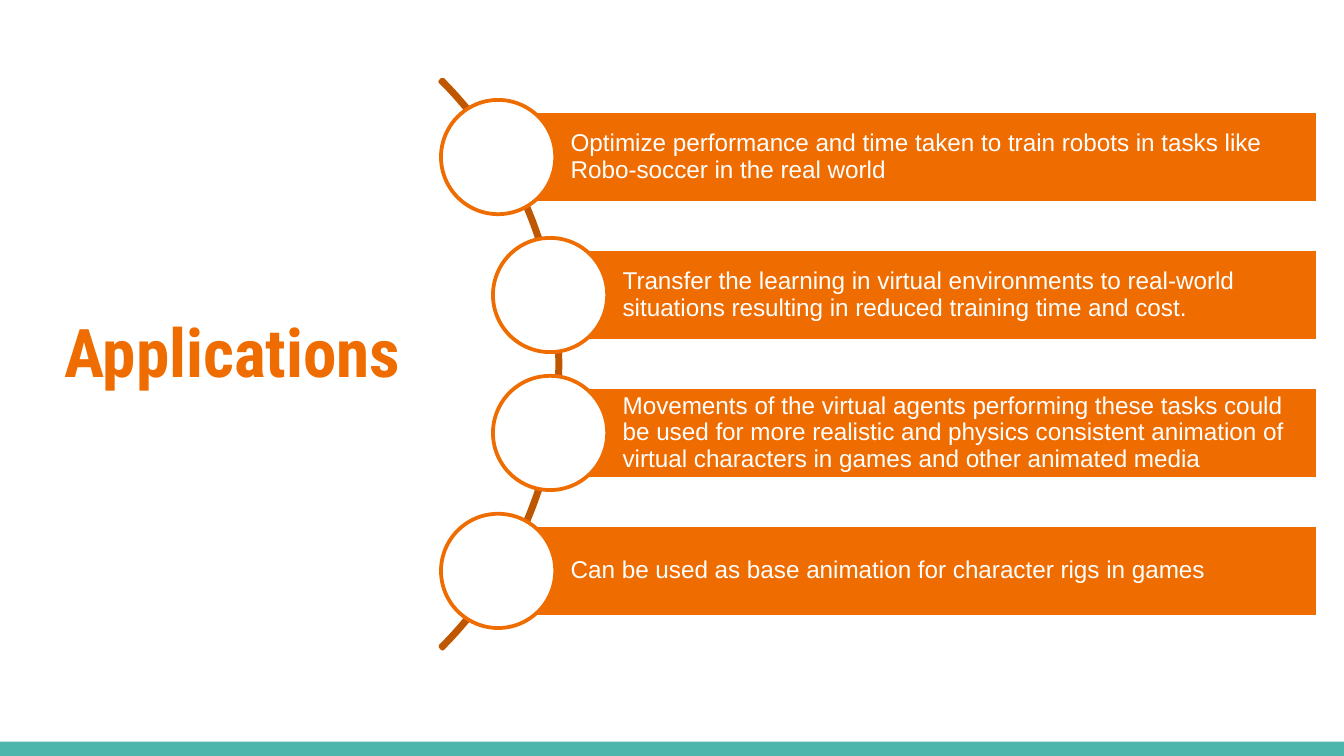
from math import sqrt

from pptx import Presentation
from pptx.dml.color import RGBColor
from pptx.enum.shapes import MSO_SHAPE
from pptx.enum.text import MSO_ANCHOR, PP_ALIGN
from pptx.util import Pt

RECT, OVAL, ARC = MSO_SHAPE.RECTANGLE, MSO_SHAPE.OVAL, MSO_SHAPE.BLOCK_ARC
TOP, MIDDLE, LEFT = MSO_ANCHOR.TOP, MSO_ANCHOR.MIDDLE, PP_ALIGN.LEFT
ORANGE, BROWN, TEAL, WHITE = "EF6C00", "BF5600", "4DB6AC", "FFFFFF"

ITEMS = [
    "Optimize performance and time taken to train robots in tasks like "
    "Robo-soccer in the real world",
    "Transfer the learning in virtual environments to real-world situations "
    "resulting in reduced training time and cost.",
    "Movements of the virtual agents performing these tasks could be used for "
    "more realistic and physics consistent animation of virtual characters in "
    "games and other animated media",
    "Can be used as base animation for character rigs in games",
]


def color(code):
    return RGBColor.from_string(code)


def add_shape(slide, kind, box, fill=None, line=None):
    shape = slide.shapes.add_shape(kind, *map(Pt, box))
    shape.shadow.inherit = False
    if fill:
        shape.fill.solid()
        shape.fill.fore_color.rgb = color(fill)
    else:
        shape.fill.background()
    if line:
        shape.line.color.rgb = color(line)
        shape.line.width = Pt(2)
    else:
        shape.line.fill.background()
    return shape


def set_text(shape, text, font, size, tint, insets, anchor, bold=False):
    frame = shape.text_frame
    frame.text = text
    frame.word_wrap = True
    frame.vertical_anchor = anchor
    (frame.margin_left, frame.margin_top,
     frame.margin_right, frame.margin_bottom) = map(Pt, insets)
    para = frame.paragraphs[0]
    para.alignment = LEFT
    style = para.runs[0].font
    style.name, style.size, style.bold = font, Pt(size), bold
    style.color.rgb = color(tint)
    return para


def add_title(slide, box):
    title = slide.shapes.add_textbox(*map(Pt, box))
    set_text(title, "Applications", "Roboto Condensed", 36, ORANGE,
             [7.2] * 4, TOP, bold=True)


def add_list(slide, box):
    """Bars whose discs sit on an arc bulging to the right."""
    left, top, width, height = box
    right, mid = left + width, top + height / 2
    bar, disc, pitch = 49, 61.2, 73.9
    size, track = 431.3, 213.3
    hub = 84.6  # x of the arc's centre

    # Arc from -45 to 45 degrees
    arc = add_shape(slide, ARC, (hub - size / 2, mid - size / 2, size, size),
                    line=BROWN)
    for i, value in enumerate((189, 27, 0.004)):
        arc.adjustments[i] = value

    # Bar and disc for each item
    for i, text in enumerate(ITEMS):
        rise = (i - (len(ITEMS) - 1) / 2) * pitch
        x, y = hub + sqrt(track ** 2 - rise ** 2), mid + rise
        strip = add_shape(slide, RECT, (x, y - bar / 2, right - x, bar),
                          ORANGE, WHITE)
        para = set_text(strip, text, "Arial", 13, WHITE,
                        (38.9, 2.6, 2.6, 2.6), MIDDLE)
        para.line_spacing = 0.9
        add_shape(slide, OVAL, (x - disc / 2, y - disc / 2, disc, disc),
                  WHITE, ORANGE)


def main():
    deck = Presentation()
    deck.slide_width, deck.slide_height = Pt(720), Pt(405)
    slide = deck.slides.add_slide(deck.slide_layouts[6])
    slide.background.fill.solid()
    slide.background.fill.fore_color.rgb = color(WHITE)
    # Footer band
    add_shape(slide, RECT, (0, 397.3, 720, 7.7), TEAL)
    add_title(slide, (27.4, 159.1, 203, 72))
    add_list(slide, (236, 42, 470.3, 306))
    deck.save("out.pptx")


if __name__ == "__main__":
    main()
